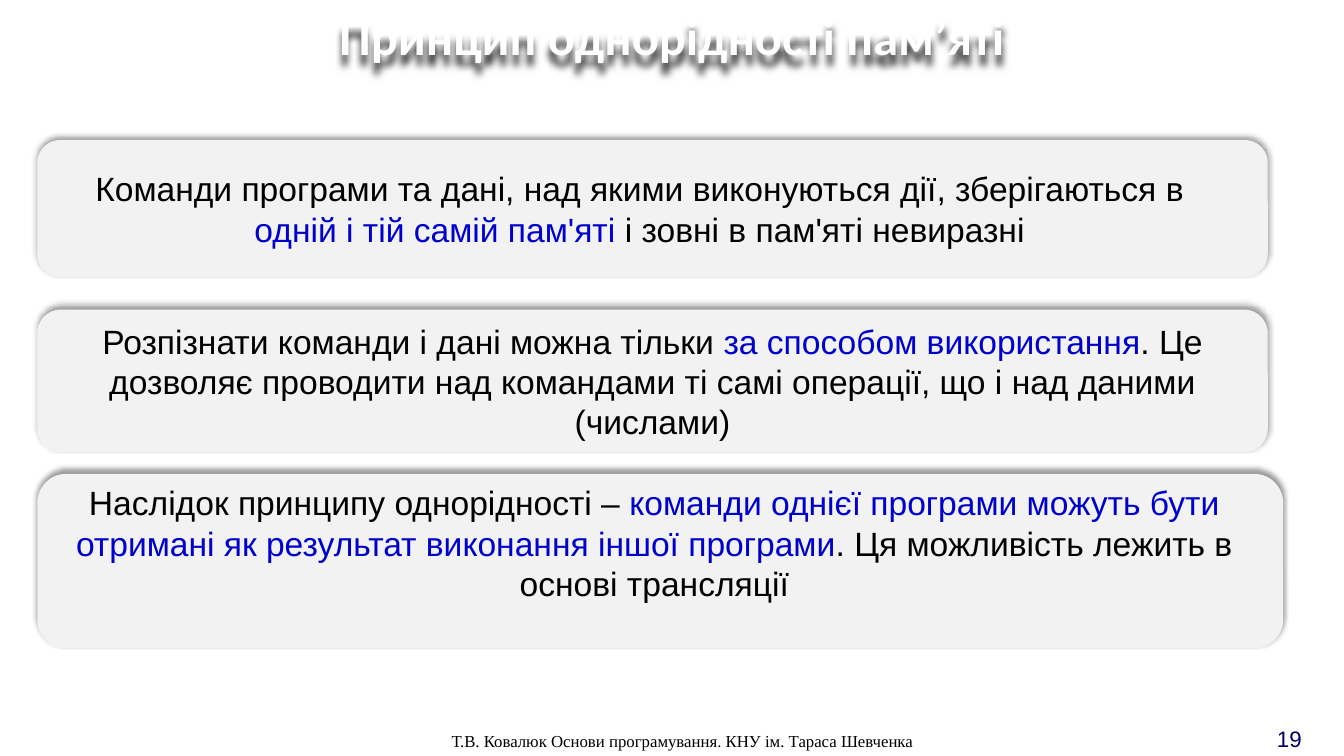
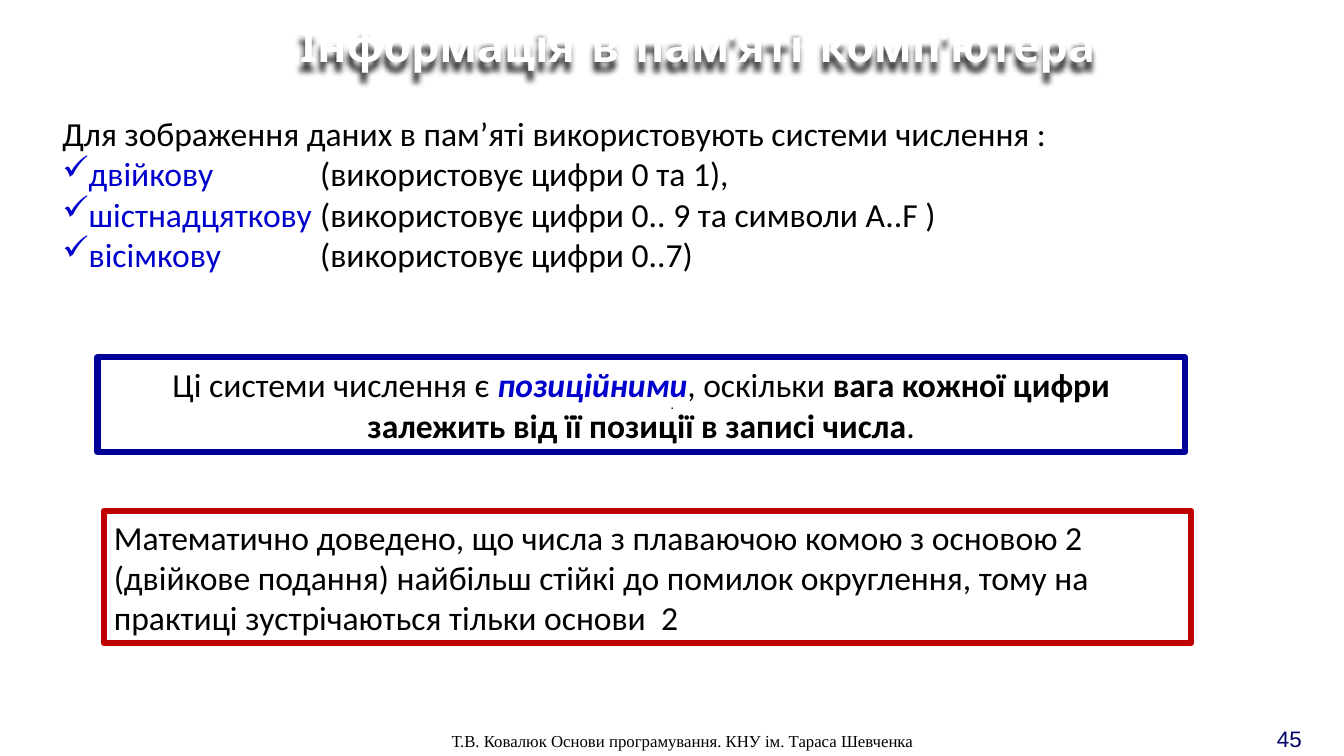
"""Build two lecture slides on computer memory and number systems."""
from dataclasses import dataclass
from typing import Optional

from lxml.etree import SubElement
from pptx import Presentation
from pptx.dml.color import RGBColor
from pptx.enum.shapes import MSO_SHAPE
from pptx.enum.text import MSO_ANCHOR, PP_ALIGN
from pptx.oxml.ns import qn
from pptx.util import Cm, Pt


@dataclass(frozen=True)
class Theme:
    black: str = "000000"
    white: str = "FFFFFF"
    accent: str = "0000CC"
    number: str = "000066"
    card: str = "F2F2F2"
    navy: str = "000099"
    red: str = "C00000"
    sans: str = "Arial"
    body: str = "Calibri"
    serif: str = "Times New Roman"
    comic: str = "Comic Neue"
    body_size: int = 24
    number_size: int = 16
    footer_size: int = 12
    dot_size: int = 10
    frame_width: float = 4.5


THEME = Theme()


@dataclass(frozen=True)
class Area:
    left: float
    top: float
    width: float
    height: float


@dataclass(frozen=True)
class Span:
    text: str
    color: str = THEME.black
    bold: bool = False
    italic: bool = False


@dataclass(frozen=True)
class Shadow:
    blur: float
    distance: float
    direction: int
    opacity: int


@dataclass(frozen=True)
class Card:
    area: Area
    spans: tuple[Span, ...]
    left_margin: float = 0.25
    right_margin: float = 0.25
    anchor: MSO_ANCHOR = MSO_ANCHOR.MIDDLE


@dataclass(frozen=True)
class Frame:
    area: Area
    color: str
    align: PP_ALIGN
    spans: tuple[Span, ...]


@dataclass(frozen=True)
class NumberSystem:
    name: str
    digits: str


TITLE_SHADOW = Shadow(blur=4, distance=6, direction=100, opacity=80)
CARD_SHADOW = Shadow(blur=4, distance=3, direction=270, opacity=40)

CARDS = (
    Card(Area(0.94, 3.53, 31.01, 3.45), (
        Span("Команди програми та дані, над якими виконуються дії, зберігаються в "),
        Span("одній і тій самій пам'яті ", THEME.accent),
        Span("і зовні в пам'яті невиразні"),
    ), left_margin=0.39, right_margin=1.04),
    Card(Area(0.94, 7.8, 31.01, 3.6), (
        Span("Розпізнати команди і дані можна тільки "),
        Span("за способом використання", THEME.accent),
        Span(". Це дозволяє проводити над командами ті самі операції, "
             "що і над даними (числами)"),
    )),
    Card(Area(0.94, 11.94, 31.4, 4.4), (
        Span("Наслідок принципу однорідності – "),
        Span("команди однієї програми можуть бути отримані "
             "як результат виконання іншої програми", THEME.accent),
        Span(". Ця можливість лежить в основі трансляції"),
    ), left_margin=0.65, right_margin=0.95, anchor=MSO_ANCHOR.TOP),
)

NUMBER_SYSTEMS = (
    NumberSystem("двійкову", "(використовує цифри 0 та 1),"),
    NumberSystem("шістнадцяткову", "(використовує цифри 0.. 9 та символи А..F )"),
    NumberSystem("вісімкову", "(використовує цифри 0..7)"),
)

FRAMES = (
    Frame(Area(2.46, 9, 27.4, 2.39), THEME.navy, PP_ALIGN.CENTER, (
        Span("Ці системи числення є "),
        Span("позиційними", THEME.accent, bold=True, italic=True),
        Span(", оскільки "),
        Span("вага кожної цифри залежить від її позиції в записі числа", bold=True),
        Span("."),
    )),
    Frame(Area(2.62, 12.88, 27.4, 3.33), THEME.red, PP_ALIGN.LEFT, (
        Span("Математично доведено, що числа з плаваючою комою з основою 2 "
             "(двійкове подання) найбільш стійкі до помилок округлення, "
             "тому на практиці зустрічаються тільки основи  2"),
    )),
)


def write_text(para, text: str, *, font: str = THEME.body, size: float = THEME.body_size,
               color: str = THEME.black, bold: bool = False, italic: bool = False) -> None:
    """Append one formatted run to a paragraph."""
    run = para.add_run()
    run.text = text
    run.font.name = font
    run.font.size = Pt(size)
    run.font.color.rgb = RGBColor.from_string(color)
    run.font.bold = bold
    run.font.italic = italic


def write_spans(para, spans: tuple[Span, ...], font: str) -> None:
    """Write body spans in one font."""
    for span in spans:
        write_text(para, span.text, font=font, color=span.color,
                   bold=span.bold, italic=span.italic)


def bounds(area: Area) -> tuple:
    """Turn an area into lengths."""
    return Cm(area.left), Cm(area.top), Cm(area.width), Cm(area.height)


def add_text_box(page, area: Area, align: PP_ALIGN = PP_ALIGN.LEFT):
    """Add an empty wrapping text box."""
    box = page.shapes.add_textbox(*bounds(area))
    box.text_frame.word_wrap = True
    box.text_frame.paragraphs[0].alignment = align
    return box


def add_panel(page, area: Area, kind: MSO_SHAPE, align: PP_ALIGN, anchor: MSO_ANCHOR,
              fill: Optional[str] = None, line: Optional[str] = None):
    """Add a flat preset shape ready for text."""
    panel = page.shapes.add_shape(kind, *bounds(area))
    if fill:
        panel.fill.solid()
        panel.fill.fore_color.rgb = RGBColor.from_string(fill)
    else:
        panel.fill.background()
    if line:
        panel.line.color.rgb = RGBColor.from_string(line)
        panel.line.width = Pt(THEME.frame_width)
    else:
        panel.line.fill.background()
    panel.shadow.inherit = False
    panel.text_frame.word_wrap = True
    panel.text_frame.vertical_anchor = anchor
    panel.text_frame.paragraphs[0].alignment = align
    return panel


def cast_shadow(shape, shadow: Shadow) -> None:
    """Give a shape a soft black outer shadow."""
    shape.shadow.inherit = False
    effects = shape.element.spPr.find(qn("a:effectLst"))
    outer = SubElement(effects, qn("a:outerShdw"), blurRad=str(Pt(shadow.blur)),
                       dist=str(Pt(shadow.distance)), dir=str(shadow.direction * 60000),
                       algn="ctr", rotWithShape="0")
    color = SubElement(outer, qn("a:srgbClr"), val=THEME.black)
    SubElement(color, qn("a:alpha"), val=str(shadow.opacity * 1000))


def add_title(page, text: str, area: Area, font: str, size: float) -> None:
    """Add a white shadowed title."""
    box = add_text_box(page, area, PP_ALIGN.CENTER)
    write_text(box.text_frame.paragraphs[0], text, font=font, size=size,
               color=THEME.white, bold=True)
    cast_shadow(box, TITLE_SHADOW)


def add_page(deck, number: int):
    """Add a blank page with its footer and number."""
    page = deck.slides.add_slide(deck.slide_layouts[6])
    number_box = add_text_box(page, Area(31.93, 18.16, 1.37, 0.76))
    write_text(number_box.text_frame.paragraphs[0], str(number), font=THEME.sans,
               size=THEME.number_size, color=THEME.number)
    footer = add_text_box(page, Area(11.13, 18.29, 17.07, 0.76))
    write_text(footer.text_frame.paragraphs[0],
               "Т.В. Ковалюк Основи програмування. КНУ ім. Тараса Шевченка",
               font=THEME.serif, size=THEME.footer_size)
    return page


def add_card(page, card: Card) -> None:
    """Add a rounded grey card."""
    panel = add_panel(page, card.area, MSO_SHAPE.ROUNDED_RECTANGLE, PP_ALIGN.CENTER,
                      card.anchor, fill=THEME.card)
    frame = panel.text_frame
    frame.margin_left = Cm(card.left_margin)
    frame.margin_right = Cm(card.right_margin)
    frame.margin_top = frame.margin_bottom = Cm(0)
    write_spans(frame.paragraphs[0], card.spans, THEME.sans)
    cast_shadow(panel, CARD_SHADOW)


def add_frame(page, frame: Frame) -> None:
    """Add an outlined statement."""
    panel = add_panel(page, frame.area, MSO_SHAPE.RECTANGLE, frame.align,
                      MSO_ANCHOR.MIDDLE, line=frame.color)
    write_spans(panel.text_frame.paragraphs[0], frame.spans, THEME.body)


def add_number_systems(page) -> None:
    """Add the introduction and the ticked list with an aligned second column."""
    box = add_text_box(page, Area(1.32, 2.72, 31.19, 4.52))
    write_text(box.text_frame.paragraphs[0],
               "Для зображення даних в пам’яті використовують системи числення :")
    for system in NUMBER_SYSTEMS:
        para = box.text_frame.add_paragraph()
        properties = para._p.get_or_add_pPr()
        properties.set("marL", "0")
        properties.set("indent", "0")
        SubElement(properties, qn("a:buChar"), char="✓")
        stops = SubElement(properties, qn("a:tabLst"))
        SubElement(stops, qn("a:tab"), pos=str(Cm(6.5)), algn="l")
        write_text(para, system.name, color=THEME.accent)
        write_text(para, "\t" + system.digits)


def build_memory_page(deck) -> None:
    """Build the page on uniform memory."""
    page = add_page(deck, 19)
    for card in CARDS:
        add_card(page, card)
    add_title(page, "Принцип однорідності пам’яті", Area(0, 0, 33.87, 1.8), THEME.body, 36)


def build_information_page(deck) -> None:
    """Build the page on number systems."""
    page = add_page(deck, 45)
    add_number_systems(page)
    for frame in FRAMES:
        add_frame(page, frame)
    dot = add_text_box(page, Area(16.64, 9.83, 0.61, 0.69), PP_ALIGN.CENTER)
    write_text(dot.text_frame.paragraphs[0], ".", font=THEME.sans, size=THEME.dot_size)
    add_title(page, "Інформація в пам’яті комп’ютера", Area(6.65, 0.33, 21.87, 1.63),
              THEME.comic, 32)


def main() -> None:
    """Build and save the deck."""
    deck = Presentation()
    deck.slide_width = Cm(33.87)
    deck.slide_height = Cm(19.05)
    build_memory_page(deck)
    build_information_page(deck)
    deck.save("out.pptx")


if __name__ == "__main__":
    main()
